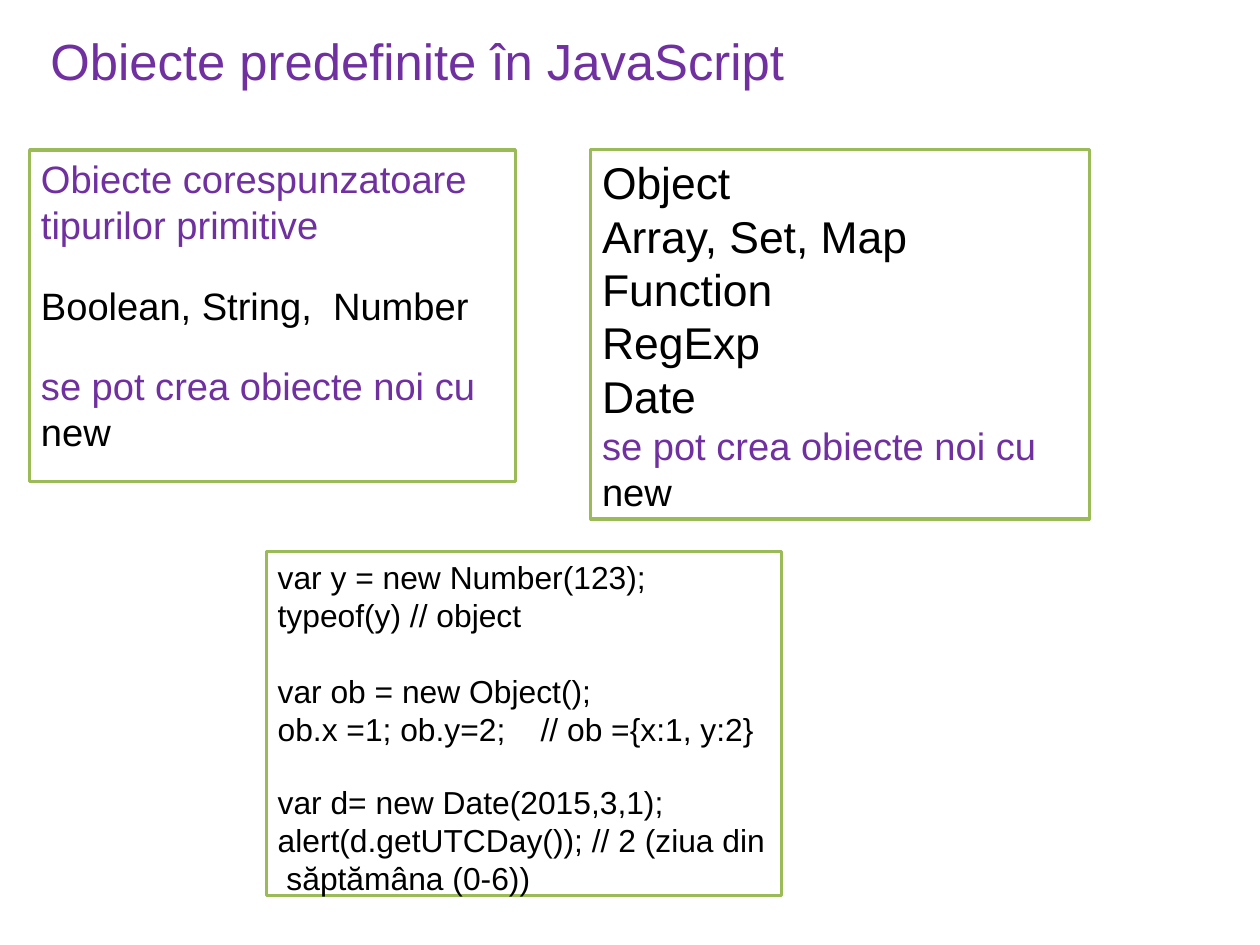
import pptx
import pptx.util
import pptx.dml.color
import pptx.enum.text
import pptx.enum.shapes

Pt = pptx.util.Pt
PURPLE, BLACK, GREEN, WHITE = "7030A0", "000000", "9BBB59", "FFFFFF"

# Content: each line is (space before, runs), each run (text, size, colour)
TITLE = "Obiecte predefinite în JavaScript"
CREATE = [("se pot crea obiecte noi cu ", 24, PURPLE), ("new", 24, BLACK)]
TYPES = ["Object", "Array, Set, Map", "Function", "RegExp", "Date"]
CODE = [
    (0, "var y = new Number(123);  typeof(y) // object"),
    (24, "var ob = new Object();"),
    (0, "ob.x =1; ob.y=2;    // ob ={x:1, y:2}"),
    (22, "var d= new Date(2015,3,1);"),
    (0, "alert(d.getUTCDay()); // 2 (ziua din \u00a0săptămâna (0-6))"),
]
PRIMS = [
    (0, [("Obiecte corespunzatoare", 24, PURPLE)]),
    (0, [("tipurilor primitive", 24, PURPLE)]),
    (22, [("Boolean, String,  Number", 24, BLACK)]),
    (22, CREATE),
]
BOXES = [  # left, top, width, height, lines
    (18.7, 94.5, 306, 208.8, PRIMS),
    (372.2, 94.3, 314, 232.6,
     [(0, [(name, 28, BLACK)]) for name in TYPES] + [(0, CREATE)]),
    (167.8, 347.6, 324.7, 216.7,
     [(gap, [(text, 20, BLACK)]) for gap, text in CODE]),
]


def color(code):
    return pptx.dml.color.RGBColor.from_string(code)


def fill_text(frame, lines):
    frame.word_wrap = True
    frame.auto_size = pptx.enum.text.MSO_AUTO_SIZE.NONE
    frame.vertical_anchor = pptx.enum.text.MSO_ANCHOR.TOP
    frame.margin_left = frame.margin_right = Pt(7.2)
    frame.margin_top = frame.margin_bottom = Pt(3.6)
    for row, (gap, runs) in enumerate(lines):
        para = frame.add_paragraph() if row else frame.paragraphs[0]
        para.alignment = pptx.enum.text.PP_ALIGN.LEFT
        para.space_before = Pt(gap)
        para.line_spacing = 1.0
        for text, size, code in runs:
            run = para.add_run()
            run.text = text
            run.font.name = "Arial"
            run.font.size = Pt(size)
            run.font.color.rgb = color(code)


deck = pptx.Presentation()
deck.slide_width, deck.slide_height = Pt(793.75), Pt(595.25)
slide = deck.slides.add_slide(deck.slide_layouts[5])

# Title
title = slide.shapes.title
title.left, title.top, title.width, title.height = map(Pt, (24.5, 15.1, 563.8, 54.7))
fill_text(title.text_frame, [(0, [(TITLE, 32, PURPLE)])])

# Framed text boxes
for left, top, width, height, lines in BOXES:
    box = slide.shapes.add_shape(
        pptx.enum.shapes.MSO_SHAPE.RECTANGLE, *map(Pt, (left, top, width, height)))
    box.shadow.inherit = False
    box.fill.solid()
    box.fill.fore_color.rgb = color(WHITE)
    box.line.color.rgb = color(GREEN)
    box.line.width = Pt(2)
    fill_text(box.text_frame, lines)

deck.save("out.pptx")
